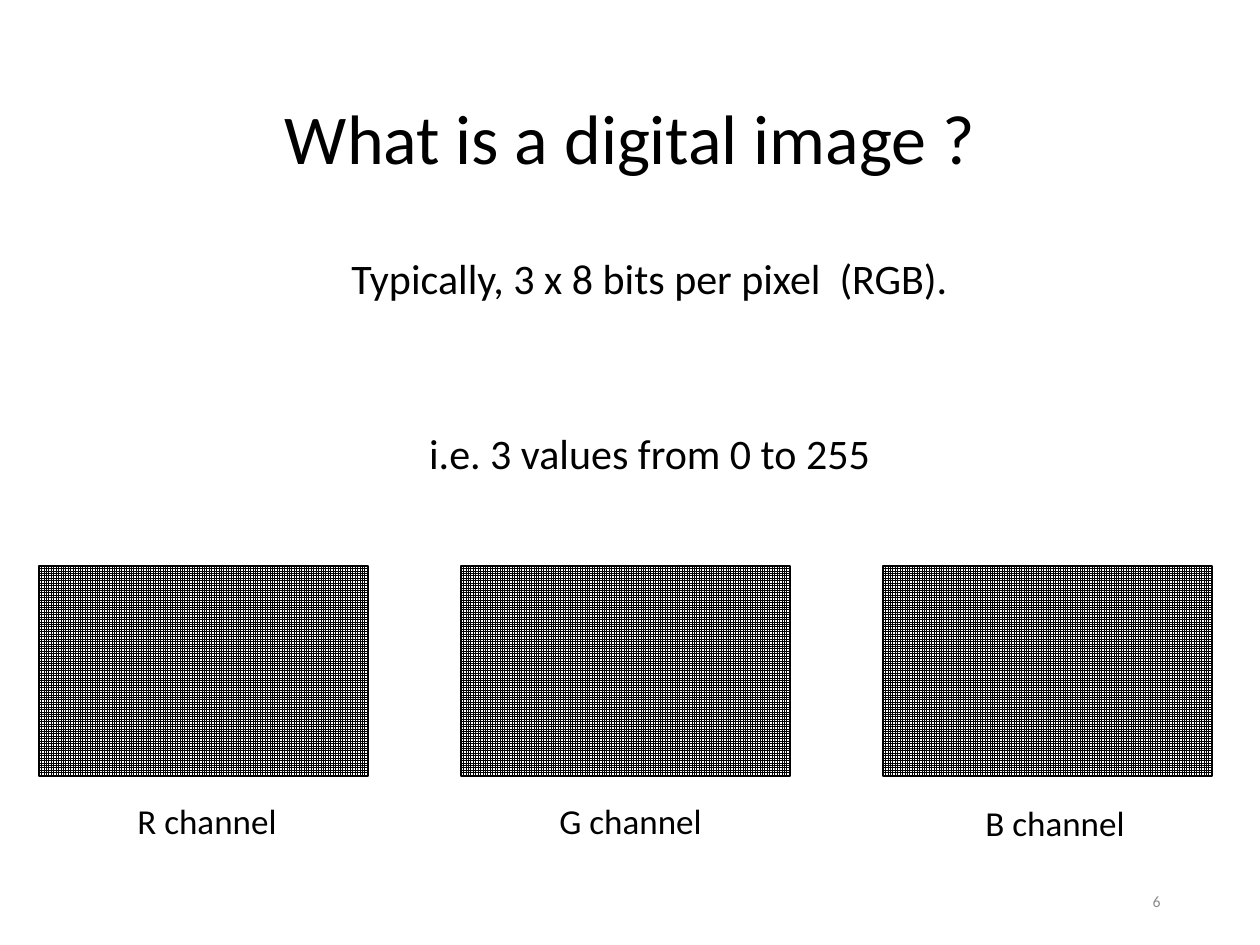
import pptx
import pptx.util
import pptx.dml.color
import pptx.enum.dml
import pptx.enum.shapes
import pptx.enum.text

PX = 914400 / 126
ALIGN = pptx.enum.text.PP_ALIGN
ANCHOR = pptx.enum.text.MSO_ANCHOR


def box(x, y, w, h):
    return [pptx.util.Emu(round(v * PX)) for v in (x, y, w, h)]


def rgb(value):
    return pptx.dml.color.RGBColor.from_string(value)


prs = pptx.Presentation()
prs.slide_width, prs.slide_height = box(0, 0, 1260, 945)[2:]
s = prs.slides.add_slide(prs.slide_layouts[6])

for i in range(3):
    sp = s.shapes.add_shape(pptx.enum.shapes.MSO_SHAPE.RECTANGLE, *box(39 + 422 * i, 566, 329, 210))
    sp.shadow.inherit = False
    sp.fill.patterned()
    sp.fill.pattern = pptx.enum.dml.MSO_PATTERN.SMALL_GRID
    sp.fill.fore_color.rgb = rgb("000000")
    sp.fill.back_color.rgb = rgb("FFFFFF")
    sp.line.color.rgb = rgb("000000")
    sp.line.width = pptx.util.Pt(1)

texts = [
    ((87, 50, 1086, 183), ["What is a digital image ?"], 40, "000000", ALIGN.CENTER, ANCHOR.MIDDLE, 0.9, [0]),
    ((252 - 165, 252, 1125, 649), ["Typically, 3 x 8 bits per pixel  (RGB).", "i.e. 3 values from 0 to 255"],
     24, "000000", ALIGN.CENTER, ANCHOR.TOP, 0.9, [7.5, 74]),
    ((890, 876, 283, 50), ["6"], 9, "8C8C8C", ALIGN.RIGHT, ANCHOR.MIDDLE, 1.0, [0]),
]
for name, x, y, w in (("R", 125, 793, 166), ("G", 547, 793, 169), ("B", 973, 795, 169)):
    texts.append(((x, y, w, 55), [f"{name} channel"], 20, "000000", ALIGN.LEFT, ANCHOR.TOP, 1.0, [0]))

for place, lines, size, color, align, anchor, spacing, gaps in texts:
    sp = s.shapes.add_textbox(*box(*place))
    tf = sp.text_frame
    tf.word_wrap = True
    tf.vertical_anchor = anchor
    if align == ALIGN.LEFT:
        sp.fill.solid()
        sp.fill.fore_color.rgb = rgb("FFFFFF")
        tf.word_wrap = False
        tf.auto_size = pptx.enum.text.MSO_AUTO_SIZE.SHAPE_TO_FIT_TEXT
    for i, (line, gap) in enumerate(zip(lines, gaps)):
        p = tf.add_paragraph() if i else tf.paragraphs[0]
        p.alignment = align
        p.line_spacing = spacing
        p.space_before = pptx.util.Pt(gap)
        r = p.add_run()
        r.text = line
        r.font.name = "Calibri"
        r.font.size = pptx.util.Pt(size)
        r.font.color.rgb = rgb(color)

prs.save("out.pptx")
